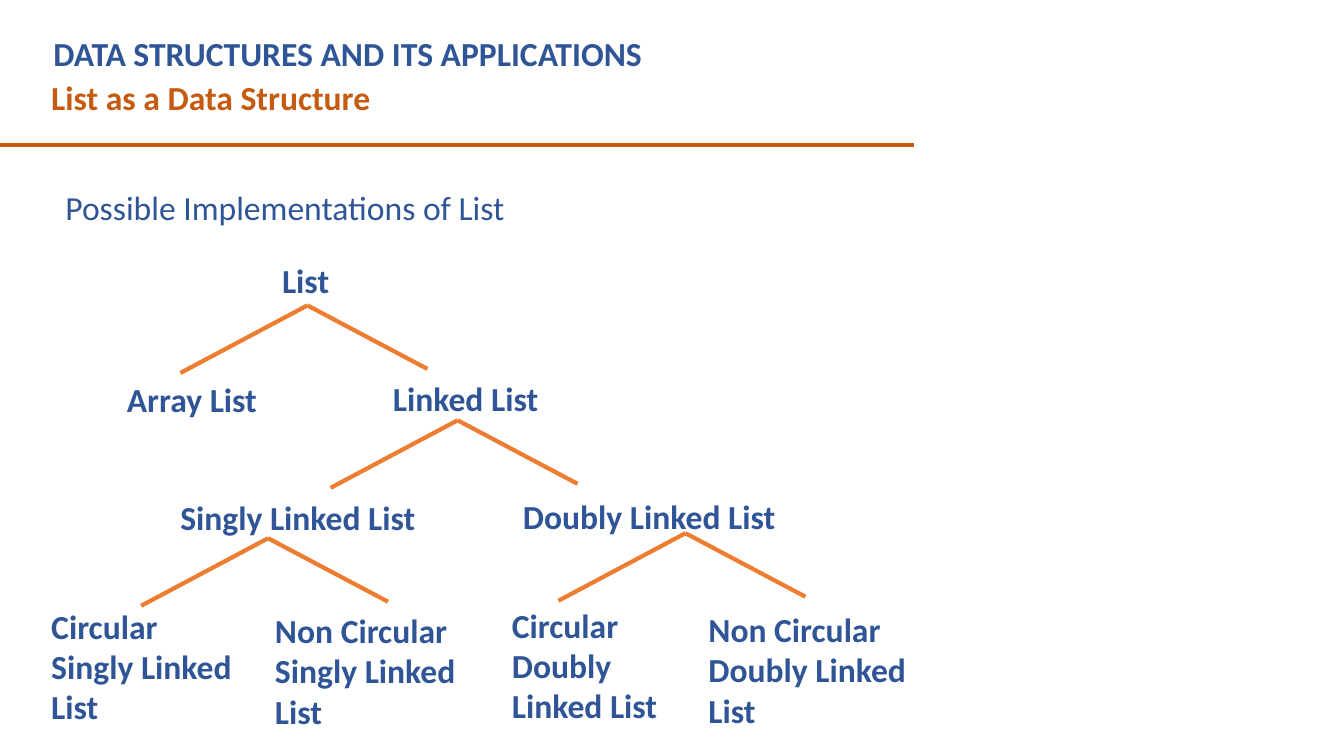
"""Build a slide with the tree of possible list implementations."""
from lxml.etree import SubElement
from pptx import Presentation
from pptx.dml.color import RGBColor
from pptx.enum.shapes import MSO_CONNECTOR
from pptx.enum.text import MSO_ANCHOR, MSO_AUTO_SIZE, PP_ALIGN
from pptx.oxml.ns import qn
from pptx.util import Inches, Pt

BLUE = RGBColor(0x2F, 0x55, 0x97)
RUST = RGBColor(0xC5, 0x5A, 0x11)
ORANGE = RGBColor(0xED, 0x7D, 0x31)
CELL = Inches(0.1)
COLS, ROWS = 133.33, 75
LINE_H, BLOCK_H = 5, 13.1


def grid(*cells):
    return [round(c * CELL) for c in cells]


def add_line(s, x1, y1, x2, y2, color):
    line = s.shapes.add_connector(MSO_CONNECTOR.STRAIGHT, *grid(x1, y1, x2, y2))
    line.line.color.rgb = color
    line.line.width = Pt(3)
    SubElement(line._element.spPr, qn("a:effectLst"))


prs = Presentation()
prs.slide_width, prs.slide_height = grid(COLS, ROWS)
s = prs.slides.add_slide(prs.slide_layouts[5])

texts = [
    ("DATA STRUCTURES AND ITS APPLICATIONS", 4.3, 2.8, 82, LINE_H, BLUE, True),
    ("List as a Data Structure", 4.1, 7.1, 87.5, LINE_H, RUST, True),
    ("Possible Implementations of List", 5.5, 18.1, 83.5, LINE_H, BLUE, False),
]
nodes = [
    ("List", 27, 25.3, 7, LINE_H),
    ("Array List", 11.6, 37.1, 16.3, LINE_H),
    ("Linked List", 38, 37, 23.5, LINE_H),
    ("Singly Linked List", 16.9, 48.8, 26.7, LINE_H),
    ("Doubly Linked List", 50.9, 48.7, 27.4, LINE_H),
    ("Circular Singly Linked List", 4.1, 59.6, 21.2, BLOCK_H),
    ("Non Circular Singly Linked List", 26.3, 60, 24.4, BLOCK_H),
    ("Circular Doubly Linked List", 49.8, 59.5, 21.2, BLOCK_H),
    ("Non Circular Doubly Linked List", 69.3, 59.9, 24.4, BLOCK_H),
]
texts += [node + (BLUE, True) for node in nodes]

for i, (text, x, y, w, h, color, bold) in enumerate(texts):
    box = grid(x, y, w, h)
    if i == 0:
        sp = s.shapes.title
        sp.left, sp.top, sp.width, sp.height = box
    else:
        sp = s.shapes.add_textbox(*box)
    tf = sp.text_frame
    frame_format = {"word_wrap": True, "auto_size": MSO_AUTO_SIZE.NONE,
                    "vertical_anchor": MSO_ANCHOR.TOP}
    for name, value in frame_format.items():
        setattr(tf, name, value)
    p = tf.paragraphs[0]
    p.alignment = PP_ALIGN.LEFT
    r = p.add_run()
    r.text = text
    r.font.color.rgb = color
    for name, value in {"name": "Calibri", "size": Pt(24), "bold": bold}.items():
        setattr(r.font, name, value)

add_line(s, 0, 14.4, 90.7, 14.4, RUST)

fork_tops = [(30.5, 30.3), (45.4, 41.7), (26.6, 53.4), (68, 52.9)]
fork_arms = [(-12.6, 6.7), (11.9, 6.3)]
for x, y in fork_tops:
    for dx, dy in fork_arms:
        add_line(s, x, y, x + dx, y + dy, ORANGE)

prs.save("out.pptx")
